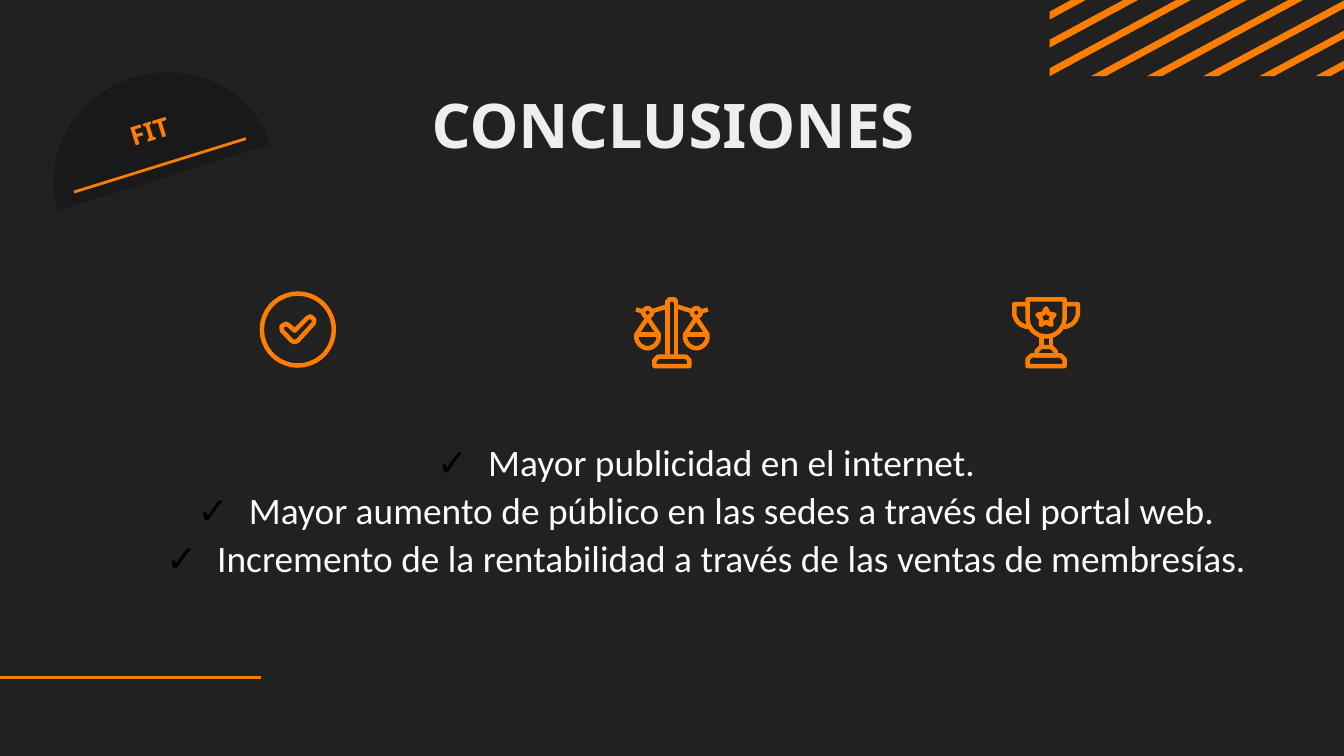
from math import cos, pi, sin

from lxml.etree import SubElement
from pptx import Presentation
from pptx.dml.color import RGBColor
from pptx.enum.shapes import MSO_CONNECTOR
from pptx.enum.text import MSO_ANCHOR, MSO_AUTO_SIZE, PP_ALIGN
from pptx.oxml.ns import qn
from pptx.util import Cm, Pt

UNIT = Cm(0.01)  # outline points are given in hundredths of a centimetre


def tint(code):
    return RGBColor.from_string(code)


def arc(x, y, r, start=0, end=360, tall=None, steps=36):
    """Points along an arc, clockwise from the right, angles in degrees."""
    turns = [(start + (end - start) * i / steps) * pi / 180
             for i in range(steps + 1)]
    return [(x + r * cos(a), y + (tall or r) * sin(a)) for a in turns]


class Deck:
    ORANGE, BACK, DISC = "FF7E02", "212121", "191919"
    PALE, WHITE, BLACK = "EEEEEE", "FAFAFA", "000000"
    HEAD, BODY = "Noto Sans", "Calibri"
    TILT = -17.3

    def __init__(self):
        self.prs = Presentation()
        self.prs.slide_width, self.prs.slide_height = Cm(25.4), Cm(14.29)
        self.slide = self.prs.slides.add_slide(self.prs.slide_layouts[5])
        fill = self.slide.background.fill
        fill.solid()
        fill.fore_color.rgb = tint(self.BACK)

    def place(self, shape, box):
        shape.left, shape.top, shape.width, shape.height = map(Cm, box)

    def frame(self, shape, side, top):
        frame = shape.text_frame
        frame.word_wrap = True
        frame.auto_size = MSO_AUTO_SIZE.NONE
        frame.vertical_anchor = MSO_ANCHOR.TOP
        frame.margin_left = frame.margin_right = Cm(side)
        frame.margin_top, frame.margin_bottom = Cm(top), 0
        return frame

    def add_text(self, para, text, size, font, color, bold=False):
        para.alignment = PP_ALIGN.CENTER
        run = para.add_run()
        run.text = text
        run.font.size, run.font.name, run.font.bold = Pt(size), font, bold
        run.font.color.rgb = tint(color)

    def title(self, text, box):
        shape = self.slide.shapes.title
        self.place(shape, box)
        para = self.frame(shape, 0.25, 0.15).paragraphs[0]
        self.add_text(para, text, 33, self.HEAD, self.PALE, True)

    def label(self, text, box, turn):
        shape = self.slide.shapes.add_textbox(*map(Cm, box))
        shape.rotation = turn
        para = self.frame(shape, 0, 0.05).paragraphs[0]
        self.add_text(para, text, 14, self.HEAD, self.ORANGE, True)

    def bullets(self, lines, box):
        shape = self.slide.shapes.add_textbox(*map(Cm, box))
        frame = self.frame(shape, 0.25, 0.25)
        for i, text in enumerate(lines):
            para = frame.add_paragraph() if i else frame.paragraphs[0]
            para.line_spacing = 1.07
            props = para._p.get_or_add_pPr()
            props.set("marL", str(Cm(0.97)))
            props.set("indent", str(-Cm(0.97)))
            color = SubElement(props, qn("a:buClr"))
            SubElement(color, qn("a:srgbClr"), val=self.BLACK)
            SubElement(props, qn("a:buFont"), typeface=self.HEAD)
            SubElement(props, qn("a:buChar"), char="✓")
            self.add_text(para, text, 20, self.BODY, self.WHITE)

    def line(self, *ends):
        line = self.slide.shapes.add_connector(
            MSO_CONNECTOR.STRAIGHT, *map(Cm, ends))
        line.line.color.rgb = tint(self.ORANGE)
        line.line.width = Pt(1.5)
        SubElement(line._element.spPr, qn("a:effectLst"))

    def outline(self, parts, x=0, y=0):
        """One freeform from (points, closed) parts around the point x, y."""
        pen = self.slide.shapes.build_freeform(*parts[0][0][0], scale=UNIT)
        for points, closed in parts:
            pen.move_to(*points[0])
            pen.add_line_segments(points[1:], close=closed)
        shape = pen.convert_to_shape(Cm(x), Cm(y))
        shape.shadow.inherit = False
        return shape

    def solid(self, parts, color, x=0, y=0):
        shape = self.outline(parts, x, y)
        shape.fill.solid()
        shape.fill.fore_color.rgb = tint(color)
        shape.line.fill.background()
        return shape

    def icon(self, parts, x, y):
        shape = self.outline(parts, x, y)
        shape.fill.background()
        shape.line.color.rgb = tint(self.ORANGE)
        shape.line.width = Pt(2.4)


def stripes():
    left, right, high, run, wide = 1984, 2540, 144, 267, 28
    tops = [2024, 2123, 2223] + [2329 + 106 * i for i in range(5)]

    def edge(top):
        ends = min(top, right), max(top - run, left)
        return [(x, (top - x) * high / run) for x in ends]

    parts = []
    for top in tops:
        (a, b), (c, d) = edge(top), edge(top + wide)
        parts.append(([a, c, d, b], True))
    return parts


def plinth(half, top, base, cut):
    return [(-half, base), (-half, top + cut), (cut - half, top),
            (half - cut, top), (half, top + cut), (half, base)], True


def check():
    tick = [(18, -22), (24, -25), (31, -19), (30, -12), (0, 21), (-6, 24),
            (-12, 21), (-30, 2), (-31, -6), (-23, -11), (-17, -8), (-6, 2)]
    return [(arc(0, 0, 68), True), (tick, True)]


def scales():
    post = [(-8, 51)] + arc(0, -50, 8, 180, 360) + [(8, 51)]
    parts = [(post, False), plinth(33, 51, 69, 7)]
    for s in (-1, 1):
        mid = 46 * s
        parts += [
            (arc(mid, -32, 8), True),
            ([(mid, -22), (mid + 21, 9)] + arc(mid, 14, 21, 0, 180)
             + [(mid - 21, 9)], True),
            ([(mid - 21, 9), (mid + 21, 9)], False),
            ([(8 * s, -44), (37 * s, -35)], False),
            ([(54 * s, -34), (68 * s, -38)], False)]
    return parts


def trophy():
    cup = arc(0, -22, 35, 0, 180) + [(-35, -57), (35, -57)]
    star = []
    for i in range(10):
        r, a = (9 if i % 2 else 17), (i / 5 - 0.5) * pi
        star.append((r * cos(a), r * sin(a) - 23))
    parts = [(cup, True), (star, True),
             plinth(18, 33, 49, 8), plinth(35, 49, 69, 7)]
    for s in (-1, 1):
        grip = [(35, -48), (60, -48)] + arc(33, -32, 27, 0, 90)
        parts += [([(s * x, y) for x, y in grip], False),
                  ([(9 * s, 13), (9 * s, 33)], False)]
    return parts


def main():
    deck = Deck()
    deck.line(0, 12.8, 4.93, 12.8)
    deck.solid(stripes(), deck.ORANGE)
    deck.title("CONCLUSIONES", (4.65, 1.5, 16.13, 1.73))
    for i, draw in enumerate((check, scales, trophy)):
        deck.icon(draw(), 5.63 + 7.07 * i, 6.23)
    dome = arc(0, 0, 210, 180, 360, tall=198)
    deck.solid([(dome, True)], deck.DISC, 2.81, 3.4).rotation = deck.TILT
    deck.line(1.4, 3.63, 4.65, 2.62)
    deck.label("FIT", (2.16, 2.13, 1.3, 0.58), deck.TILT)
    deck.bullets((
        "Mayor publicidad en el internet.",
        "Mayor aumento de público en las sedes a través del portal web.",
        "Incremento de la rentabilidad a través de las ventas de membresías.",
    ), (2.79, 8, 21.11, 6.96))
    deck.prs.save("out.pptx")


if __name__ == "__main__":
    main()
